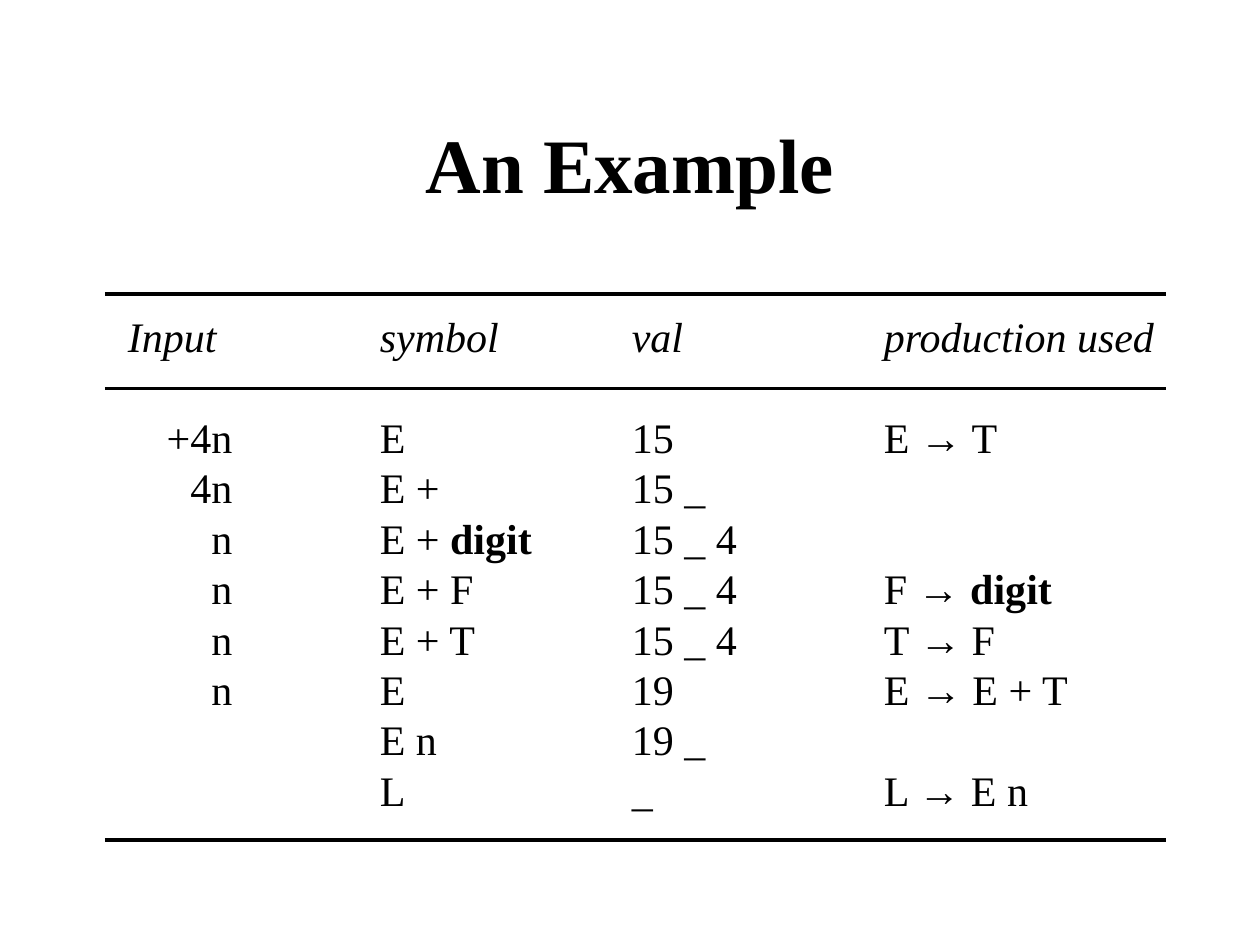
from pptx import Presentation
from pptx.dml.color import RGBColor
from pptx.enum.shapes import MSO_CONNECTOR
from pptx.enum.text import MSO_ANCHOR, MSO_AUTO_SIZE, PP_ALIGN
from pptx.oxml.ns import qn
from pptx.util import Inches, Pt
from lxml import etree

STRAIGHT = MSO_CONNECTOR.STRAIGHT
MIDDLE, TOP = MSO_ANCHOR.MIDDLE, MSO_ANCHOR.TOP
CENTER = PP_ALIGN.CENTER
NO_FIT = MSO_AUTO_SIZE.NONE

COLORS = {"ink": "000000", "paper": "FFFFFF"}
SERIF, SANS = "Times New Roman", "Arial"
COLUMNS, ROWS = 120, 90
LINE_PITCH = 28.8
TAB_STOPS = [(2, "l"), (4, "l"), (6, "l")]
INPUT_STOP = (0.83, "r")
RUN_STYLES = {"→": {"font": SANS}, "digit": {"bold": True}}

HEADER = "Input\tsymbol\tval\tproduction used"
STEPS = [
    ["\t+4n\tE\t15\tE ", "→", " T"],
    ["\t4n\tE +\t15 _"],
    ["\tn\tE + ", "digit", "\t15 _ 4"],
    ["\tn\tE + F\t15 _ 4\tF ", "→", " ", "digit"],
    ["\tn\tE + T\t15 _ 4\tT ", "→", " F"],
    ["\tn\tE\t19\tE ", "→", " E + T"],
    ["\t\tE n\t19 _"],
    ["\t\tL\t_\tL ", "→", " E n"],
]


class SlideBuilder:
    """Holds the deck, its current slide and the shared style."""

    def __init__(self):
        self.deck = Presentation()
        self.deck.slide_width, self.deck.slide_height = Inches(10), Inches(7.5)
        self.page = self.deck.slides.add_slide(self.deck.slide_layouts[5])
        fill = self.page.background.fill
        fill.solid()
        fill.fore_color.rgb = RGBColor.from_string(COLORS["paper"])

    def x(self, columns):
        return round(self.deck.slide_width * columns / COLUMNS)

    def y(self, rows):
        return round(self.deck.slide_height * rows / ROWS)

    def run(self, para, text, size, font=SERIF, bold=False, italic=False):
        span = para.add_run()
        span.text = text
        span.font.name, span.font.size = font, Pt(size)
        span.font.bold, span.font.italic = bold, italic
        span.font.color.rgb = RGBColor.from_string(COLORS["ink"])

    def title(self, text, left, top, width, height):
        box = self.page.shapes.title
        box.left, box.top = self.x(left), self.y(top)
        box.width, box.height = self.x(width), self.y(height)
        frame = box.text_frame
        frame.auto_size, frame.vertical_anchor = NO_FIT, MIDDLE
        para = frame.paragraphs[0]
        para.alignment = CENTER
        self.run(para, text, 44, bold=True)

    def tabs(self, para, stops):
        tab_list = etree.SubElement(para._p.get_or_add_pPr(), qn("a:tabLst"))
        for position, side in stops:
            etree.SubElement(tab_list, qn("a:tab"), pos=str(Inches(position)), algn=side)

    def trace(self, header, steps, left, top, width, height):
        box = self.page.shapes.add_textbox(
            self.x(left), self.y(top), self.x(width), self.y(height))
        frame = box.text_frame
        frame.word_wrap, frame.vertical_anchor = True, TOP
        para = frame.paragraphs[0]
        self.tabs(para, TAB_STOPS)
        para.line_spacing = Pt(LINE_PITCH)
        para.space_after = Pt(LINE_PITCH)
        self.run(para, header, 24, italic=True)
        for step in steps:
            para = frame.add_paragraph()
            self.tabs(para, [INPUT_STOP] + TAB_STOPS)
            para.line_spacing = Pt(LINE_PITCH)
            for text in step:
                self.run(para, text, 24, **RUN_STYLES.get(text, {}))

    def rule(self, left, right, row):
        line = self.page.shapes.add_connector(
            STRAIGHT, self.x(left), self.y(row), self.x(right), self.y(row))
        line.line.color.rgb = RGBColor.from_string(COLORS["ink"])
        line.line.width = Pt(2.25)
        etree.SubElement(line._element.spPr, qn("a:effectLst"))


def main():
    builder = SlideBuilder()
    builder.title("An Example", 9, 8, 102, 15)
    builder.trace(HEADER, STEPS, 11, 29, 100.3, 49.2)
    for row in (37, 28, 80):
        builder.rule(10, 111, row)
    builder.deck.save("out.pptx")


if __name__ == "__main__":
    main()
